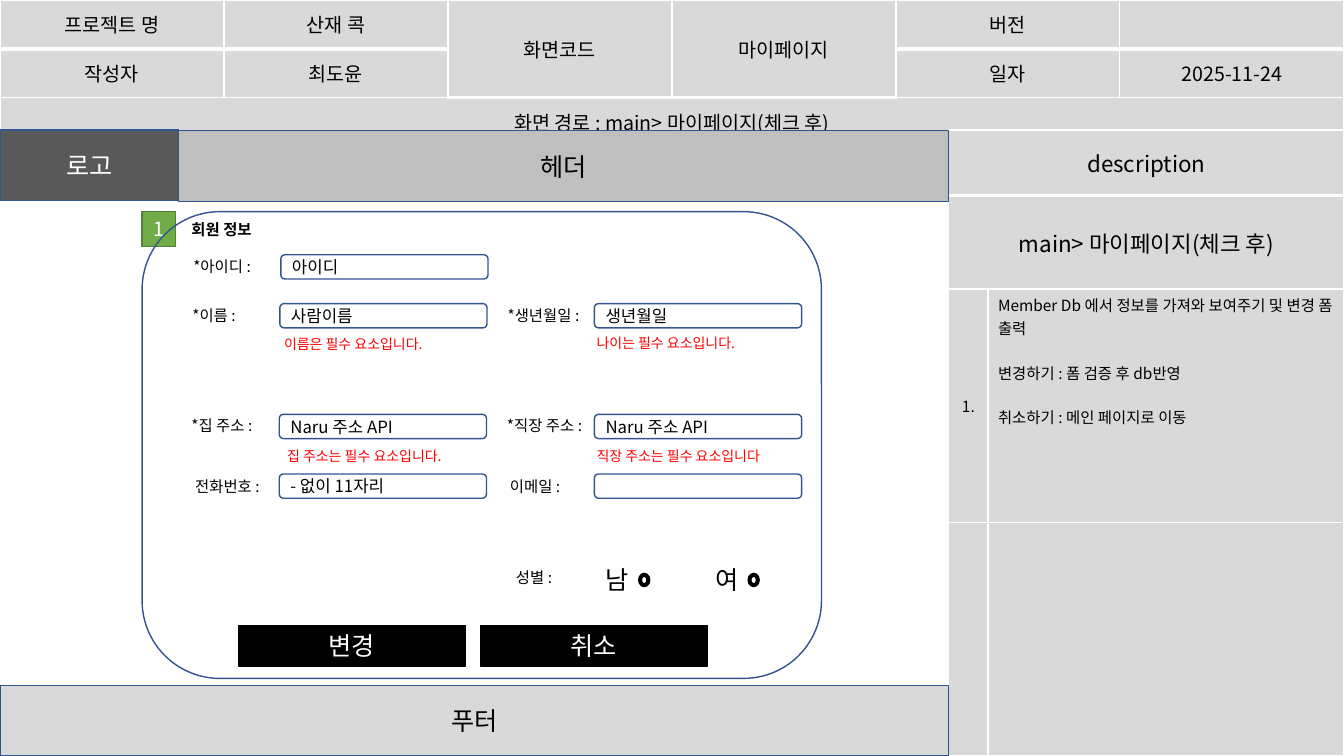
"""Build the wireframe slide for the member information page."""
from lxml import etree
from pptx import Presentation
from pptx.dml.color import RGBColor
from pptx.enum.shapes import MSO_SHAPE
from pptx.enum.text import MSO_ANCHOR, PP_ALIGN
from pptx.oxml.ns import qn
from pptx.util import Pt

FONT = "Noto Sans CJK KR"
COLORS = {
    "black": "000000", "white": "FFFFFF", "red": "FF0000", "light": "D9D9D9",
    "middle": "BFBFBF", "dark": "595959", "blue": "325491",
    "green": "70AD47", "moss": "538035",
}


def write(frame, text, size=11, color="black", bold=False, align=PP_ALIGN.LEFT, gap=0):
    """Fill a text frame, one paragraph per line of text."""
    frame.word_wrap = True
    for index, line in enumerate(text.split("\n")):
        para = frame.add_paragraph() if index else frame.paragraphs[0]
        para.alignment = align
        para.space_before = Pt(gap if index else 0)
        span = para.add_run()
        span.text = line
        span.font.size = Pt(size)
        span.font.bold = bold
        span.font.name = FONT
        span.font.color.rgb = RGBColor.from_string(COLORS[color])
        east = etree.SubElement(span.font._element, qn("a:ea"))
        east.set("typeface", FONT)


def add_box(kind, left, top, width, height, fill=None, line="blue"):
    """Add a preset shape with a one-point outline."""
    box = page.shapes.add_shape(kind, Pt(left), Pt(top), Pt(width), Pt(height))
    box.shadow.inherit = False
    if fill:
        box.fill.solid()
        box.fill.fore_color.rgb = RGBColor.from_string(COLORS[fill])
    else:
        box.fill.background()
    box.line.color.rgb = RGBColor.from_string(COLORS[line])
    box.line.width = Pt(1)
    box.text_frame.vertical_anchor = MSO_ANCHOR.MIDDLE
    return box


deck = Presentation()
deck.slide_width, deck.slide_height = Pt(960), Pt(540)
page = deck.slides.add_slide(deck.slide_layouts[6])

info = page.shapes.add_table(3, 6, Pt(0), Pt(0), Pt(960), Pt(92.9)).table
notes = page.shapes.add_table(4, 2, Pt(677.7), Pt(92.9), Pt(282.3), Pt(447.1)).table
for table, widths, heights in (
    (info, [160] * 6, [29.5] * 3),
    (notes, [28, 254.3], [46.8, 66.7, 166.8, 166.8]),
):
    for column, width in zip(table.columns, widths):
        column.width = Pt(width)
    for row, height in zip(table.rows, heights):
        row.height = Pt(height)
    for number, row in enumerate(table.rows):
        for cell in row.cells:
            cell.fill.solid()
            cell.fill.fore_color.rgb = RGBColor.from_string(COLORS["light"])
            props = cell._tc.get_or_add_tcPr()
            for place, side in enumerate(("lnL", "lnR", "lnT", "lnB")):
                thick = (number == 0 and side == "lnB") or (number == 1 and side == "lnT")
                edge = etree.Element(qn(f"a:{side}"), w=str(Pt(3 if thick else 1)))
                paint = etree.SubElement(edge, qn("a:solidFill"))
                etree.SubElement(paint, qn("a:srgbClr"), val=COLORS["white"])
                props.insert(place, edge)

for column in (2, 3):
    info.cell(0, column).merge(info.cell(1, column))
info.cell(2, 0).merge(info.cell(2, 5))
for number in (0, 1):
    notes.cell(number, 0).merge(notes.cell(number, 1))

info_rows = [
    ["프로젝트 명", "산재 콕", "화면코드", "마이페이지", "버전", ""],
    ["작성자", "최도윤", "", "", "일자", "2025-11-24"],
    ["화면 경로 : main> 마이페이지(체크 후)"],
]
for number, labels in enumerate(info_rows):
    for column, label in enumerate(labels):
        if label:
            cell = info.cell(number, column)
            cell.margin_left = cell.margin_right = Pt(7.2)
            cell.margin_top = cell.margin_bottom = Pt(7.2)
            if cell.is_merge_origin and number == 0:
                cell.vertical_anchor = MSO_ANCHOR.MIDDLE
            write(cell.text_frame, label, size=14, align=PP_ALIGN.CENTER)

for number, label, size in (
    (0, "description", 16),
    (1, "main> 마이페이지(체크 후)", 16),
    (2, "1.", 11),
):
    cell = notes.cell(number, 0)
    cell.vertical_anchor = MSO_ANCHOR.MIDDLE
    write(cell.text_frame, label, size=size, align=PP_ALIGN.CENTER)
write(
    notes.cell(2, 1).text_frame,
    "Member Db 에서 정보를 가져와 보여주기 및 변경 폼 출력\n"
    "변경하기 : 폼 검증 후 db반영\n취소하기 : 메인 페이지로 이동",
    gap=16,
)

blocks = [
    ("헤더", 127.6, 93.3, 550.1, 50.5, "middle", "blue", "black", 18),
    ("로고", 0, 92.9, 127.6, 50.5, "dark", "blue", "white", 18),
    ("푸터", 0, 489.5, 677.7, 50.5, "light", "blue", "black", 18),
    ("1", 101.5, 151.2, 24, 24.8, "green", "moss", "white", 14),
    ("변경", 170.4, 447, 162, 28.8, "black", "black", "white", 18),
    ("취소", 343.2, 447, 162, 28.8, "black", "black", "white", 18),
]
for label, left, top, width, height, fill, line, color, size in blocks:
    box = add_box(MSO_SHAPE.RECTANGLE, left, top, width, height, fill, line)
    write(box.text_frame, label, size=size, color=color, align=PP_ALIGN.CENTER)

fields = [
    ("아이디", 200.6, 182),
    ("사람이름", 199.9, 216.9),
    ("생년월일", 424.6, 216.9),
    ("Naru 주소 API", 199.5, 296),
    ("Naru 주소 API", 424.6, 296),
    ("- 없이 11자리", 199.5, 338.6),
    ("", 424.6, 338.6),
]
for label, left, top in fields:
    box = add_box(MSO_SHAPE.ROUNDED_RECTANGLE, left, top, 148, 17.3, "white")
    if label:
        write(box.text_frame, label, size=12)

add_box(MSO_SHAPE.ROUNDED_RECTANGLE, 101.5, 151.2, 485.3, 333.4)
for left in (456.2, 534.4):
    add_box(MSO_SHAPE.DONUT, left, 409.6, 7.9, 9.4, "black", "black")

captions = [
    ("회원 정보", 129.6, 153.4, 78.5, 11, "black", True),
    ("*아이디 :", 131, 180, 60.5, 11, "black", False),
    ("*이름 :", 130.3, 215.3, 50.4, 11, "black", False),
    ("*생년월일 :", 355.5, 215.3, 74.9, 11, "black", False),
    ("*집 주소 :", 129.6, 294, 61.9, 11, "black", False),
    ("*직장 주소 :", 355, 294, 71.3, 11, "black", False),
    ("전화번호 :", 132.3, 337, 68.4, 11, "black", False),
    ("이메일 :", 357.1, 337, 68.4, 11, "black", False),
    ("성별 :", 361.4, 402.5, 68.4, 11, "black", False),
    ("남", 425.5, 399.6, 25.9, 18, "black", False),
    ("여", 504, 399.6, 40.3, 18, "black", False),
    ("이름은 필수 요소입니다.", 195.8, 236.2, 317.5, 10, "red", False),
    ("나이는 필수 요소입니다.", 419, 235.4, 317.5, 10, "red", False),
    ("집 주소는 필수 요소입니다.", 198, 316.1, 317.5, 10, "red", False),
    ("직장 주소는 필수 요소입니다", 419, 316.1, 317.5, 10, "red", False),
]
heights = {10: 19.4, 11: 20.9, 18: 28.8}
for label, left, top, width, size, color, bold in captions:
    box = page.shapes.add_textbox(Pt(left), Pt(top), Pt(width), Pt(heights[size]))
    box.text_frame.margin_right = Pt(0)
    write(box.text_frame, label, size=size, color=color, bold=bold)

deck.save("out.pptx")
